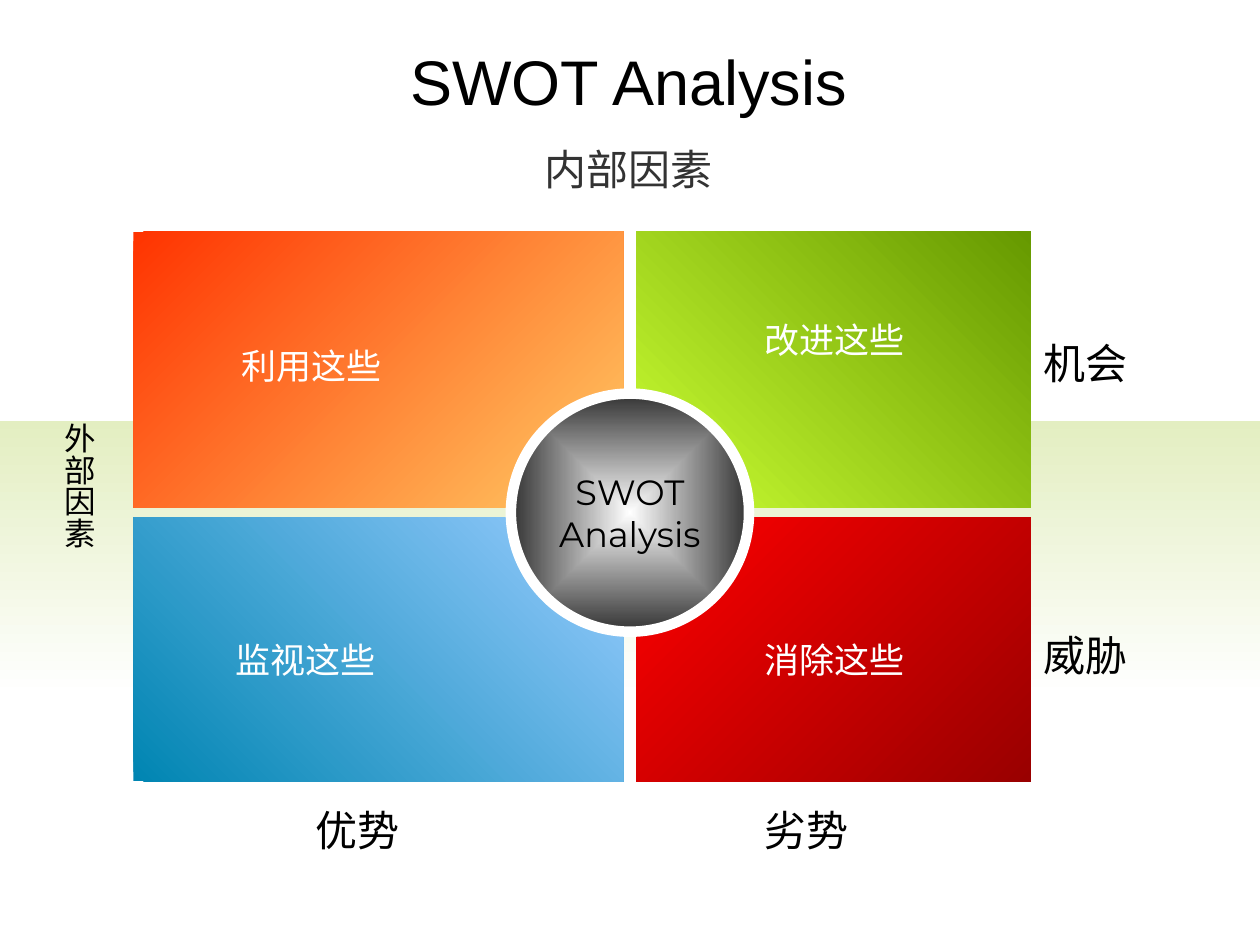
import pptx
import pptx.dml.color
import pptx.enum.shapes
import pptx.enum.text
import pptx.oxml
import pptx.oxml.ns
import pptx.util

Cm = pptx.util.Cm
RGBColor = pptx.dml.color.RGBColor
SHAPE = pptx.enum.shapes.MSO_SHAPE
ALIGN = pptx.enum.text.PP_ALIGN
ANCHOR = pptx.enum.text.MSO_ANCHOR
AUTO_SIZE = pptx.enum.text.MSO_AUTO_SIZE

WHITE = RGBColor(0xFF, 0xFF, 0xFF)
BLACK = RGBColor(0x00, 0x00, 0x00)
CHARCOAL = RGBColor(0x33, 0x33, 0x33)
PALE_GREEN = RGBColor(0xE3, 0xEE, 0xC1)
RED_ORANGE = RGBColor(0xFF, 0x33, 0x00)
AMBER = RGBColor(0xFF, 0xCC, 0x66)
LIME = RGBColor(0xCC, 0xFF, 0x33)
GREEN = RGBColor(0x66, 0x99, 0x00)
TEAL = RGBColor(0x00, 0x85, 0xB2)
SKY = RGBColor(0x99, 0xCC, 0xFF)
RED = RGBColor(0xFF, 0x00, 0x00)
DARK_RED = RGBColor(0x99, 0x00, 0x00)

NS = pptx.oxml.ns.nsdecls("a")
CENTRE_PATH = (f'<a:path {NS} path="rect">'
               '<a:fillToRect l="50000" t="50000" r="50000" b="50000"/></a:path>')
TEXT_SHADOW = (f'<a:effectLst {NS}><a:outerShdw blurRad="38100" dist="38100" dir="2700000">'
               '<a:srgbClr val="000000"/></a:outerShdw></a:effectLst>')

# Sizes in cm: quadrant columns and rows with the gaps between them
COLUMNS, COLUMN_GAP = (9.88, 7.95), 0.26
ROWS, ROW_GAP = (5.56, 5.31), 0.21
HUB = 4.8
AXIS_LABEL = (2.51, 1.27)
QUADRANT_LABEL = (3.33, 1.12)


def set_all(target, values):
    for name, value in values.items():
        setattr(target, name, value)


def write(frame, text, size, colour, font="Montserrat", align=ALIGN.LEFT, **frame_format):
    set_all(frame, frame_format)
    frame.text = text
    for paragraph in frame.paragraphs:
        paragraph.alignment = align
        for run in paragraph.runs:
            set_all(run.font, {"size": pptx.util.Pt(size), "name": font})
            run.font.color.rgb = colour


def add_text(slide, box, text, size, colour, **text_format):
    label = slide.shapes.add_textbox(*map(Cm, box))
    options = {"word_wrap": True, "auto_size": AUTO_SIZE.SHAPE_TO_FIT_TEXT, **text_format}
    write(label.text_frame, text, size, colour, **options)
    return label


def add_gradient(slide, shape_type, box, colours, angle=0):
    """Add a shape shaded between two colours; the angle runs anticlockwise."""
    shape = slide.shapes.add_shape(shape_type, *map(Cm, box))
    shape.shadow.inherit = False
    shape.line.fill.background()
    shape.fill.gradient()
    shape.fill.gradient_angle = angle
    for stop, colour in zip(shape.fill.gradient_stops, colours):
        stop.color.rgb = colour
    return shape


def add_heading(slide, box):
    left, top, width, height = box
    add_text(slide, (left, top, width, 1.8), "SWOT Analysis", 36, BLACK, font="Arial",
             align=ALIGN.CENTER, vertical_anchor=ANCHOR.MIDDLE, auto_size=AUTO_SIZE.NONE,
             margin_left=0, margin_right=0)
    add_text(slide, (left + 9.88, top + 2.06, 3.89, height - 2.06), "内部因素", 24, CHARCOAL,
             font="Arial", word_wrap=False)


def add_external_factors(slide, box):
    side, end = Cm(0.13), Cm(0.25)
    label = add_text(slide, box, "外部因素", 18, BLACK, font="Arial", margin_left=side,
                     margin_right=side, margin_top=end, margin_bottom=end)
    label.text_frame._txBody.bodyPr.set("vert", "eaVert")


def add_hub(slide, box):
    hub = add_gradient(slide, SHAPE.OVAL, box, (WHITE, CHARCOAL))
    linear = hub._element.spPr.find(".//" + pptx.oxml.ns.qn("a:lin"))
    linear.getparent().replace(linear, pptx.oxml.parse_xml(CENTRE_PATH))
    hub.line.color.rgb = WHITE
    hub.line.width = pptx.util.Pt(6)
    write(hub.text_frame, "SWOT\nAnalysis", 20, BLACK, align=ALIGN.CENTER,
          word_wrap=False, vertical_anchor=ANCHOR.MIDDLE)


def add_quadrant_label(slide, left, top, text, align):
    label = add_text(slide, (left, top, *QUADRANT_LABEL), text, 20, WHITE,
                     align=align, word_wrap=False)
    properties = label.text_frame.paragraphs[0].runs[0].font._element
    fill = properties.find(pptx.oxml.ns.qn("a:solidFill"))
    fill.addnext(pptx.oxml.parse_xml(TEXT_SHADOW))


def add_matrix(slide, left, top):
    lefts = (left, left + COLUMNS[0] + COLUMN_GAP)
    tops = (top, top + ROWS[0] + ROW_GAP)
    # column, row, colours, angle, text, label offset in the quadrant
    quadrants = (
        (0, 0, (RED_ORANGE, AMBER), 315, "利用这些", (1.93, 2.16)),
        (1, 0, (LIME, GREEN), 45, "改进这些", (2.33, 1.63)),
        (1, 1, (RED, DARK_RED), 315, "消除这些", (2.33, 2.31)),
        (0, 1, (TEAL, SKY), 45, "监视这些", (1.81, 2.31)),
    )
    for column, row, colours, angle, _, _ in quadrants:
        box = (lefts[column], tops[row], COLUMNS[column], ROWS[row])
        add_gradient(slide, SHAPE.RECTANGLE, box, colours, angle)

    add_hub(slide, (lefts[1] - (COLUMN_GAP + HUB) / 2, tops[1] - (ROW_GAP + HUB) / 2, HUB, HUB))

    for column, row, _, _, text, (across, down) in quadrants:
        add_quadrant_label(slide, lefts[column] + across, tops[row] + down, text,
                           (ALIGN.LEFT, ALIGN.RIGHT)[column])

    right, bottom = lefts[1] + COLUMNS[1], tops[1] + ROWS[1]
    axis_labels = (
        ("优势", lefts[0] + 3.43, bottom + 0.35),
        ("劣势", lefts[1] + 2.33, bottom + 0.35),
        ("机会", right, tops[0] + 2.01),
        ("威胁", right, tops[1] + 2.13),
    )
    for text, x, y in axis_labels:
        add_text(slide, (x, y, *AXIS_LABEL), text, 24, BLACK)


def main():
    deck = pptx.Presentation()
    set_all(deck, {"slide_width": Cm(25.4), "slide_height": Cm(19.05)})
    slide = deck.slides.add_slide(deck.slide_layouts[6])
    add_gradient(slide, SHAPE.RECTANGLE, (0, 8.48, 25.4, 5.56), (PALE_GREEN, WHITE), 270)
    add_matrix(slide, 2.69, 4.67)
    add_heading(slide, (0.84, 0.71, 23.67, 3.33))
    add_external_factors(slide, (0.84, 8.28, 1.27, 3.18))
    deck.save("out.pptx")


if __name__ == "__main__":
    main()
